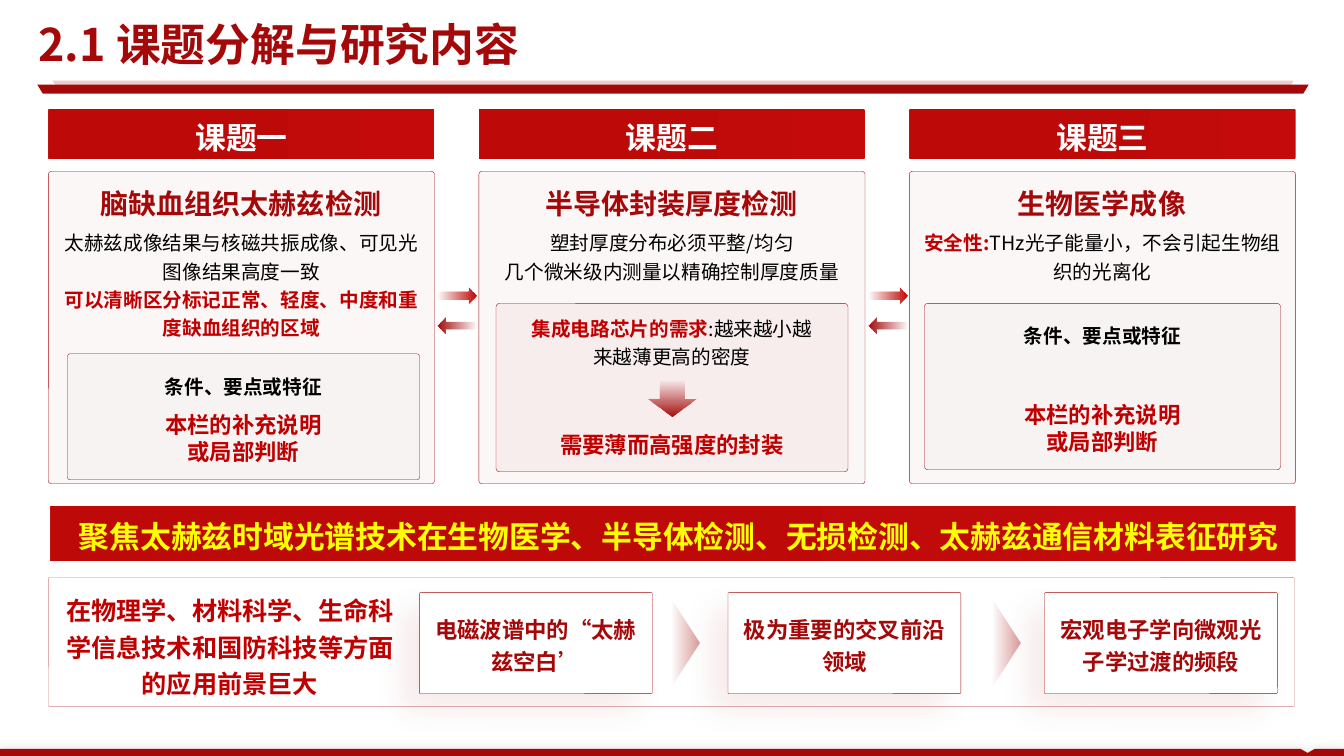
import pptx
import pptx.util
import pptx.dml.color
import pptx.enum.shapes
import pptx.enum.text
import pptx.oxml
import pptx.oxml.ns

Inches = pptx.util.Inches
Pt = pptx.util.Pt
SHAPE = pptx.enum.shapes.MSO_SHAPE
ANCHOR = pptx.enum.text.MSO_ANCHOR
ALIGN = pptx.enum.text.PP_ALIGN

FONT = "Noto Sans CJK SC"
COLORS = {
    "crimson": "A40808",
    "red": "C00000",
    "bright": "C40A0A",
    "deep": "BE0909",
    "panel": "F8F3F3",
    "yellow": "FFFF00",
    "white": "FFFFFF",
    "black": "000000",
}
COLUMN_TOP = 1.08
COLUMN_LEFTS = [0.48 + 4.27 * i for i in range(3)]
COLUMN_WIDTH = 3.83


def rgb(name):
    return pptx.dml.color.RGBColor.from_string(COLORS[name])


def set_alpha(color_element, percent):
    alpha = color_element.makeelement(pptx.oxml.ns.qn("a:alpha"), {"val": str(int(percent * 1000))})
    color_element.append(alpha)


def style_outline(shape, color, opacity=100):
    shape.line.color.rgb = rgb(color)
    shape.line.width = Pt(0.25)
    if opacity < 100:
        set_alpha(shape._element.spPr.xpath("./a:ln/a:solidFill/a:srgbClr")[0], opacity)


def add_panel(slide, kind, box, fill=None, opacity=100, outline=None, corner=None):
    shape = slide.shapes.add_shape(kind, *map(Inches, box))
    shape.shadow.inherit = False
    if corner is not None:
        shape.adjustments[0] = corner
    if fill:
        shape.fill.solid()
        shape.fill.fore_color.rgb = rgb(fill)
        if opacity < 100:
            set_alpha(shape._element.spPr.xpath("./a:solidFill/a:srgbClr")[0], opacity)
    else:
        shape.fill.background()
    if outline:
        style_outline(shape, outline)
    else:
        shape.line.fill.background()
    return shape


def fill_gradient(shape, clockwise_angle, stops):
    shape.fill.gradient()
    shape.fill.gradient_angle = (360 - clockwise_angle) % 360
    for stop, (position, color, opacity) in zip(shape.fill.gradient_stops, stops):
        stop.position = position
        stop.color.rgb = rgb(color)
    for element, (_, _, opacity) in zip(shape._element.spPr.xpath("./a:gradFill//a:srgbClr"), stops):
        if opacity < 100:
            set_alpha(element, opacity)


def add_shadow(shape, color, opacity, blur, distance, direction):
    shape.shadow.inherit = False
    effects = shape._element.spPr.xpath("./a:effectLst")[0]
    effects.append(pptx.oxml.parse_xml(
        f'<a:outerShdw {pptx.oxml.ns.nsdecls("a")} blurRad="{Pt(blur)}" dist="{Pt(distance)}" '
        f'dir="{direction * 60000}" algn="ctr" rotWithShape="0"><a:srgbClr val="{COLORS[color]}">'
        f'<a:alpha val="{opacity * 1000}"/></a:srgbClr></a:outerShdw>'))


def style_paragraph(paragraph, size, color, bold):
    font = paragraph.font
    font.size = Pt(size)
    font.name = FONT
    if color:
        font.color.rgb = rgb(color)
        font.bold = bold
    east_asian = font._rPr.makeelement(pptx.oxml.ns.qn("a:ea"), {"typeface": FONT})
    font._rPr.append(east_asian)


def add_text(slide, box, lines, size, spacing=1.2, insets=(0.1, 0.05), anchor=ANCHOR.TOP):
    frame = slide.shapes.add_textbox(*map(Inches, box)).text_frame
    frame.word_wrap = True
    frame.vertical_anchor = anchor
    frame.margin_left = frame.margin_right = Inches(insets[0])
    frame.margin_top = frame.margin_bottom = Inches(insets[1])
    for index, parts in enumerate(lines):
        paragraph = frame.add_paragraph() if index else frame.paragraphs[0]
        paragraph.alignment = ALIGN.CENTER
        paragraph.line_spacing = spacing
        single = len(parts) == 1
        style_paragraph(paragraph, size, parts[0][1] if single else None, parts[0][2])
        for wording, color, bold in parts:
            run = paragraph.add_run()
            run.text = wording
            if not single:
                run.font.color.rgb = rgb(color)
                run.font.bold = bold


def bold_line(wording, color):
    return [(wording, color, True)]


def plain_line(wording):
    return [(wording, "black", False)]


def add_red_bar(slide, kind, box, corner=None):
    bar = add_panel(slide, kind, box, corner=corner)
    fill_gradient(bar, 180, [(0, "bright", 100), (0.57, "deep", 100)])


def add_title(slide, left, top, width, height):
    title = slide.shapes.title
    title.left, title.top, title.width, title.height = map(Inches, (left, top, width, height))
    frame = title.text_frame
    frame.text = "2.1 课题分解与研究内容"
    frame.auto_size = pptx.enum.text.MSO_AUTO_SIZE.NONE
    frame.word_wrap = False
    frame.vertical_anchor = ANCHOR.MIDDLE
    frame.margin_left = frame.margin_right = frame.margin_top = frame.margin_bottom = 0
    frame.paragraphs[0].alignment = ALIGN.LEFT
    style_paragraph(frame.paragraphs[0], 32, "crimson", True)
    for offset, drop, opacity in [(0.14, 0.7, 20), (-0.01, 0.74, 100)]:
        rule = add_panel(slide, SHAPE.TRAPEZOID, (left + offset, top + drop, width + 0.01 - 2 * offset, 0.09),
                         "crimson", opacity, corner=0.61)
        rule.rotation = 180


def add_column(slide, left, top, width, heading, topic, details):
    add_red_bar(slide, SHAPE.ROUNDED_RECTANGLE, (left, top, width, 0.5), 0.03)
    add_text(slide, (left + 0.67, top, 2.49, 0.5), [bold_line(heading, "white")], 22, 1.1, (0.11, 0.06))
    add_panel(slide, SHAPE.ROUNDED_RECTANGLE, (left, top + 0.62, width, 3.1), "crimson", 3, "crimson", 0.01)
    add_text(slide, (left + 0.34, top + 0.65, 3.14, 0.48), [bold_line(topic, "crimson")], 20)
    add_text(slide, (left, top + 1.12, width, 0.64), details, 14)


def add_exchange_arrows(slide, left, top):
    for kind, drop, color, angle in [(SHAPE.RIGHT_ARROW, 0, "red", 0), (SHAPE.LEFT_ARROW, 0.3, "crimson", 180)]:
        arrow = add_panel(slide, kind, (left, top + drop, 0.39, 0.16))
        fill_gradient(arrow, angle, [(0, color, 0), (1, color, 100)])


def add_note(slide, left, top, width, height):
    add_panel(slide, SHAPE.ROUNDED_RECTANGLE, (left, top, width, height), "panel", outline="crimson", corner=0.02)
    insets = (0.06, 0.03)
    add_text(slide, (left + 0.08, top + 0.1, width - 0.16, 0.4),
             [bold_line("条件、要点或特征", "black")], 14, 1.2, insets, ANCHOR.MIDDLE)
    add_text(slide, (left + 0.1, top + height - 0.68, width - 0.2, 0.54),
             [bold_line("本栏的补充说明", "red"), bold_line("或局部判断", "red")], 16, 1.0, insets, ANCHOR.MIDDLE)


def add_chip_demand(slide, left, top, width, height):
    add_panel(slide, SHAPE.ROUNDED_RECTANGLE, (left, top, width, height), "crimson", 4, "crimson", 0.02)
    arrow = add_panel(slide, SHAPE.DOWN_ARROW, (left + 1.5, top + 0.77, 0.49, 0.35))
    fill_gradient(arrow, 90, [(0, "crimson", 0), (1, "crimson", 100)])
    add_text(slide, (left + 0.16, top + 0.04, width - 0.32, 0.64),
             [[("集成电路芯片的需求", "red", True), (":越来越小越来越薄更高的密度", "black", False)]], 14)
    add_text(slide, (left + 0.39, top + 1.22, width - 0.78, 0.37), [bold_line("需要薄而高强度的封装", "red")], 16, 1.0)


def add_focus_banner(slide, left, top, width, height):
    add_red_bar(slide, SHAPE.RECTANGLE, (left, top, width, height))
    add_text(slide, (left - 0.02, top + 0.03, width + 0.15, 0.49),
             [bold_line("聚焦太赫兹时域光谱技术在生物医学、半导体检测、无损检测、太赫兹通信材料表征研究", "yellow")], 22, 1.1)


def add_prospects(slide, left, top, width, height):
    frame = add_panel(slide, SHAPE.ROUNDED_RECTANGLE, (left, top, width, height), corner=0.01)
    style_outline(frame, "crimson", 50)
    add_text(slide, (left + 0.02, top + 0.07, 3.56, 1.17),
             [bold_line("在物理学、材料科学、生命科学信息技术和国防科技等方面的应用前景巨大", "red")], 18)
    cards = [(3.68, "电磁波谱中的“太赫兹空白’"), (6.74, "极为重要的交叉前沿领域"), (9.88, "宏观电子学向微观光子学过渡的频段")]
    for offset, wording in cards:
        card = add_panel(slide, SHAPE.ROUNDED_RECTANGLE, (left + offset, top + 0.15, 2.31, 1),
                         "white", outline="crimson", corner=0.01)
        add_shadow(card, "crimson", 8, 21, 17, 135)
        add_text(slide, (left + offset - 0.02, top + 0.28, 2.35, 0.72), [bold_line(wording, "crimson")], 16)
    for offset in (5.8, 8.98):
        pointer = add_panel(slide, SHAPE.ISOSCELES_TRIANGLE, (left + offset, top + 0.49, 1, 0.32))
        pointer.rotation = 90
        fill_gradient(pointer, 90, [(0, "crimson", 40), (0.87, "crimson", 0)])


def add_footer(slide, left, top, width, height):
    right, bottom = left + width, top + height
    outline = [(12.9, top), (12.97, top + 0.04), (13.04, top), (right, top), (right, bottom), (left, bottom)]
    builder = slide.shapes.build_freeform(Inches(left), Inches(top))
    builder.add_line_segments([(Inches(x), Inches(y)) for x, y in outline])
    strip = builder.convert_to_shape()
    strip.fill.solid()
    strip.fill.fore_color.rgb = rgb("crimson")
    strip.line.fill.background()
    add_shadow(strip, "black", 14, 7.7, 0, 0)


def main():
    presentation = pptx.Presentation()
    presentation.slide_width, presentation.slide_height = Inches(13.33), Inches(7.5)
    slide = presentation.slides.add_slide(presentation.slide_layouts[5])
    add_title(slide, 0.38, 0.1, 12.58, 0.67)
    columns = [
        ("课题一", "脑缺血组织太赫兹检测",
         [plain_line("太赫兹成像结果与核磁共振成像、可见光图像结果高度一致"),
          bold_line("可以清晰区分标记正常、轻度、中度和重度缺血组织的区域", "red")]),
        ("课题二", "半导体封装厚度检测",
         [plain_line("塑封厚度分布必须平整/均匀"), plain_line("几个微米级内测量以精确控制厚度质量")]),
        ("课题三", "生物医学成像",
         [[("安全性:", "red", True), ("THz光子能量小，不会引起生物组织的光离化", "black", False)]]),
    ]
    for left, column in zip(COLUMN_LEFTS, columns):
        add_column(slide, left, COLUMN_TOP, COLUMN_WIDTH, *column)
    for left in COLUMN_LEFTS[:2]:
        add_exchange_arrows(slide, left + 3.86, 2.85)
    add_note(slide, 0.67, 3.51, 3.49, 1.25)
    add_chip_demand(slide, 4.92, 3.01, 3.49, 1.67)
    add_note(slide, 9.17, 3.01, 3.53, 1.65)
    add_focus_banner(slide, 0.5, 5.02, 12.35, 0.55)
    add_prospects(slide, 0.48, 5.73, 12.36, 1.28)
    add_footer(slide, 0, 7.43, 13.33, 0.07)
    presentation.save("out.pptx")


if __name__ == "__main__":
    main()
